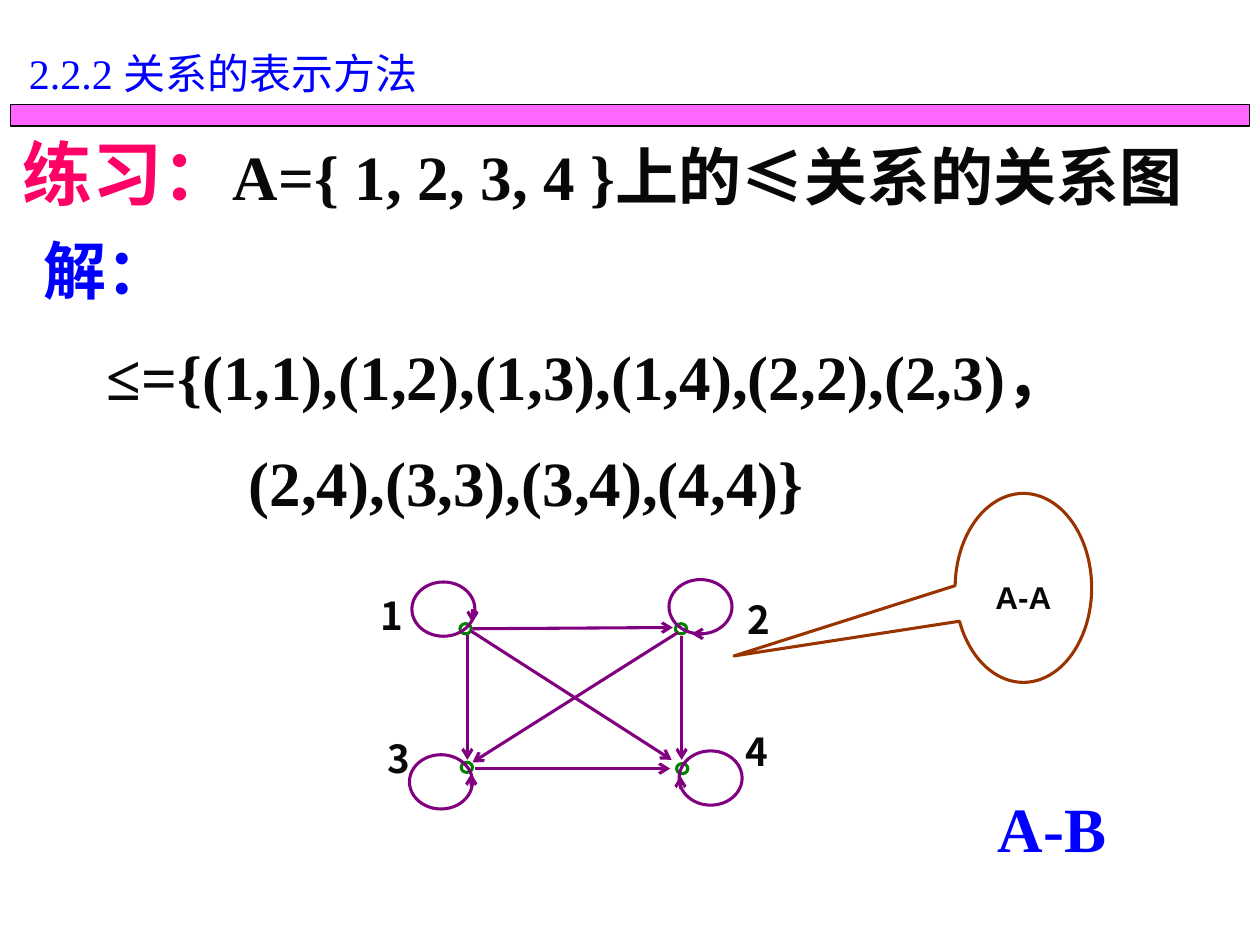
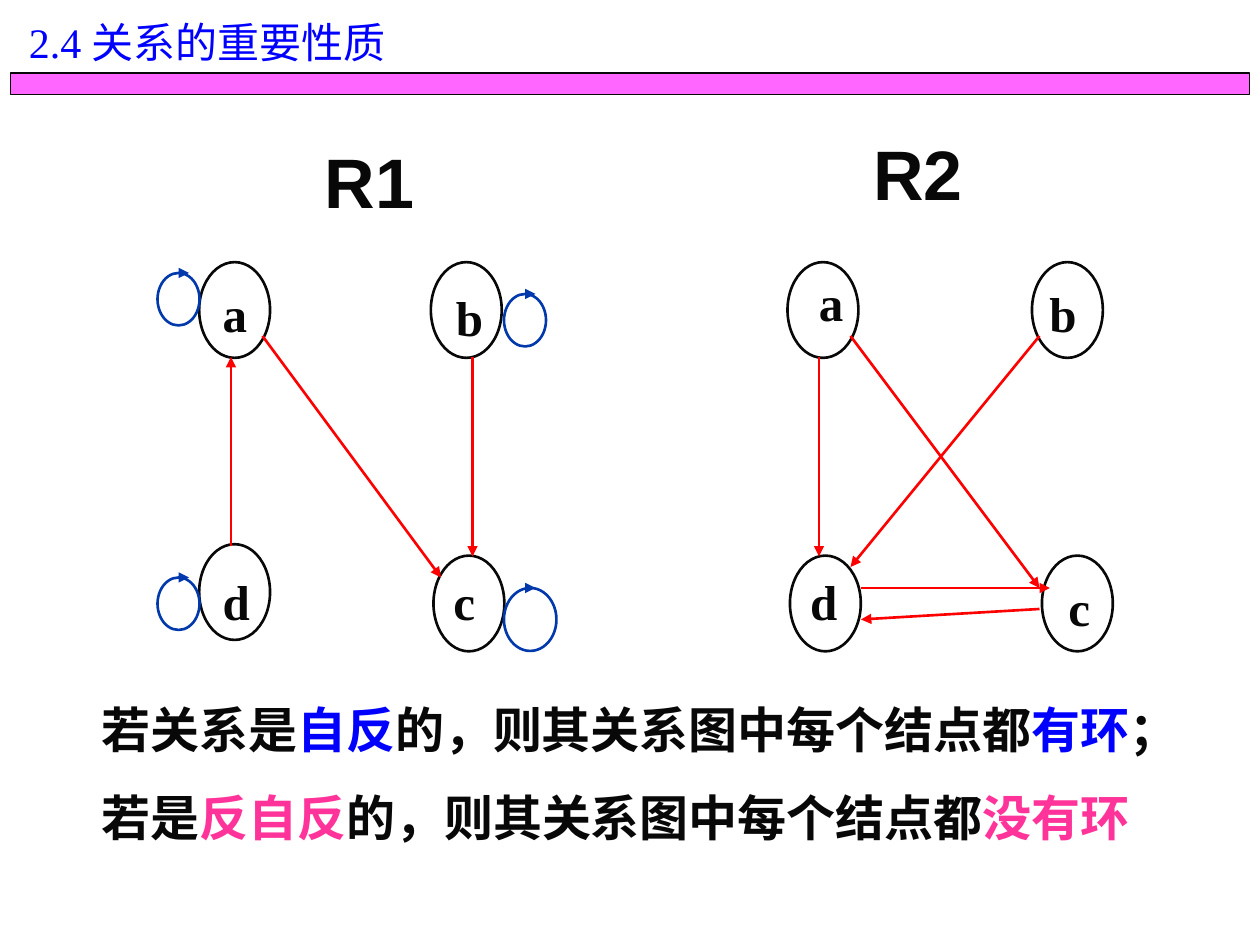
from lxml.etree import SubElement
from pptx import Presentation
from pptx.dml.color import RGBColor
from pptx.enum.shapes import MSO_CONNECTOR, MSO_SHAPE
from pptx.enum.text import MSO_ANCHOR, MSO_AUTO_SIZE, PP_ALIGN
from pptx.oxml.ns import qn
from pptx.util import Pt

HUES = {
    "ink": "080808", "blue": "0000FF", "rose": "FF0066", "pink": "FF3399",
    "band": "FF00FF", "green": "008000", "plum": "800080", "rust": "993300",
    "navy": "0039AC", "red": "FF0000",
}
ROMAN, SANS, HAN = "Times New Roman", "Arial", "Noto Sans CJK SC"


def tone(name):
    return RGBColor.from_string(HUES[name])


def dress(font, size=None, face=None, hue=None, bold=None):
    if size:
        font.size = Pt(size)
    if bold is not None:
        font.bold = bold
    if hue:
        font.color.rgb = tone(hue)
    if face:
        font.name = face
        latin = font._rPr.find(qn("a:latin"))
        east = SubElement(font._rPr, qn("a:ea"), typeface=HAN)
        latin.addnext(east)


def write(para, runs, space=None, left=0, **look):
    if space:
        para.line_spacing = space
    if left:
        props = para._p.get_or_add_pPr()
        props.set("marL", str(Pt(left)))
        props.set("indent", "0")
    dress(para.font, **look)
    for text, own in runs:
        run = para.add_run()
        run.text = text
        dress(run.font, **own)


def frame(slide, x, y, w, h, wrap=True):
    text = slide.shapes.add_textbox(Pt(x), Pt(y), Pt(w), Pt(h)).text_frame
    text.word_wrap = wrap
    text.auto_size = MSO_AUTO_SIZE.SHAPE_TO_FIT_TEXT
    return text


def label(slide, x, y, w, h, text, wrap=False, **look):
    para = frame(slide, x, y, w, h, wrap).paragraphs[0]
    write(para, [(text, {})], **look)


def draw(slide, kind, x, y, w, h, hue, width):
    shape = slide.shapes.add_shape(kind, Pt(x), Pt(y), Pt(w), Pt(h))
    shape.shadow.inherit = False
    shape.fill.background()
    shape.line.color.rgb = tone(hue)
    shape.line.width = Pt(width)
    return shape


def arrow(slide, x, y, ends, hue, width, head):
    ax, ay, bx, by = ends
    line = slide.shapes.add_connector(
        MSO_CONNECTOR.STRAIGHT, Pt(x + ax), Pt(y + ay), Pt(x + bx), Pt(y + by))
    line.line.color.rgb = tone(hue)
    line.line.width = Pt(width)
    SubElement(line.line._get_or_add_ln(), qn("a:tailEnd"), type=head)
    SubElement(line._element.spPr, qn("a:effectLst"))


def header(slide, top, code, title):
    bar = draw(slide, MSO_SHAPE.RECTANGLE, 6, top + 36, 708, 12.25, "ink", 0.75)
    bar.fill.solid()
    bar.fill.fore_color.rgb = tone("band")
    fill = bar._element.spPr.find(qn("a:solidFill"))
    SubElement(fill[0], qn("a:alpha"), val="60000")
    para = frame(slide, 9.4, top, 272, 36).paragraphs[0]
    write(para, [(code + " ", {"face": ROMAN}), (title, {"face": HAN})],
          size=24, hue="blue")


def task(slide, x, y):
    para = frame(slide, x, y, 696, 60).paragraphs[0]
    dark = {"size": 36, "hue": "ink"}
    write(para, [
        ("练习：", {"size": 40, "face": HAN, "hue": "rose"}),
        ("A={ 1, 2, 3, 4 }", {"face": ROMAN, **dark}),
        ("上的", {"face": HAN, **dark}),
        ("≤", {"face": ROMAN, **dark}),
        ("关系的关系图", {"face": HAN, **dark}),
    ], space=1.1, bold=True)
    text = frame(slide, x + 12, y + 45.4, 630, 188.6)
    rows = [
        ("解：", SANS, "blue", 0),
        ("≤={(1,1),(1,2),(1,3),(1,4),(2,2),(2,3)，", ROMAN, "ink", 36),
        ("(2,4),(3,3),(3,4),(4,4)}", ROMAN, "ink", 117),
    ]
    for i, (row, face, hue, left) in enumerate(rows):
        para = text.add_paragraph() if i else text.paragraphs[0]
        write(para, [(row, {})], space=1.4, left=left, size=36, face=face,
              hue=hue, bold=True)


def order(slide, x, y):
    parts = [
        ("1", (0.2, 3.8), (52.8, 25.4), (25.4, 1.6), (60, 16.8, 60, 24.7)),
        ("2", (209.8, 6), (175.9, 25.4), (172.3, 0.2), (193.9, 31.2, 185.3, 31.2)),
        ("3", (4.6, 85.2), (53.5, 104.6), (24, 100.3), (59.3, 118.3, 59.3, 111.1)),
        ("4", (209, 81.6), (176.6, 105.3), (178.1, 98.1), (178.8, 119.7, 178.8, 112.5)),
    ]
    edges = [
        (57.1, 31.9, 57.1, 103.2), (60, 28.3, 174.5, 27.6),
        (61.4, 108.2, 173, 108.2), (59.3, 29.7, 173.8, 103.2),
        (177.4, 30.4, 60, 104.6), (179.5, 32.6, 179.5, 103.2),
    ]
    for name, tag, dot, loop, tip in parts:
        draw(slide, MSO_SHAPE.OVAL, x + dot[0], y + dot[1], 6.5, 5.8, "green", 1.75)
        label(slide, x + tag[0], y + tag[1], 28, 34, name, wrap=True,
              size=22, face=HAN, hue="ink", bold=True)
        draw(slide, MSO_SHAPE.OVAL, x + loop[0], y + loop[1], 36, 31, "plum", 1.75)
        edges.append(tip)
    for ends in edges:
        arrow(slide, x, y, ends, "plum", 1.75, "arrow")


def notes(slide, x, y):
    bubble = draw(slide, MSO_SHAPE.OVAL_CALLOUT, x, y, 78, 108, "rust", 1.75)
    bubble.adjustments[0] = -2.12
    bubble.adjustments[1] = 0.36
    bubble.text_frame.vertical_anchor = MSO_ANCHOR.MIDDLE
    para = bubble.text_frame.paragraphs[0]
    para.alignment = PP_ALIGN.CENTER
    write(para, [("A-A", {})], space=1.5, size=18, face=SANS, hue="ink", bold=True)
    label(slide, x + 17.3, y + 144, 97, 72, "A-B", wrap=True, space=1.5,
          size=36, face=ROMAN, hue="blue", bold=True)


def graph(slide, x, y, title, spot, nodes, loops, edges):
    look = {"space": 1.5, "hue": "ink", "bold": True}
    label(slide, x + spot[0], y + spot[1], 65.5, 79, title,
          size=40, face=SANS, **look)
    wide = {"a": 28, "b": 29.5, "c": 26.6, "d": 29.5}
    for name, left, top, tx, ty in nodes:
        draw(slide, MSO_SHAPE.OVAL, x + left, y + top, 40.5, 54.7, "ink", 1.5)
        label(slide, x + tx, y + ty, wide[name], 57.6, name,
              size=28, face=ROMAN, **look)
    for left, top, w, h in loops:
        draw(slide, MSO_SHAPE.OVAL, x + left, y + top, w, h, "navy", 1.5)
        arrow(slide, x, y, (left + 12, top, left + 18, top), "navy", 1.5, "triangle")
    for ends in edges:
        arrow(slide, x, y, ends, "red", 1.5, "triangle")


def rules(slide, x, y):
    text = frame(slide, x, y, 669, 108)
    rest = "的，则其关系图中每个结点都"
    rows = [
        ("若关系是", HAN, "自反", "有环", "；", "blue"),
        ("若是", SANS, "反自反", "没有环", "", "pink"),
    ]
    for i, (lead, face, kind, ring, stop, hue) in enumerate(rows):
        para = text.add_paragraph() if i else text.paragraphs[0]
        pieces = [(lead, "ink"), (kind, hue), (rest, "ink"), (ring, hue), (stop, "ink")]
        write(para, [(part, {"hue": shade}) for part, shade in pieces if part],
              space=1.5, size=28, face=face, bold=True)


def main():
    deck = Presentation()
    deck.slide_width, deck.slide_height = Pt(720), Pt(540)
    blank = deck.slide_layouts[6]

    first = deck.slides.add_slide(blank)
    header(first, 23.8, "2.2.2", "关系的表示方法")
    task(first, 6, 66.2)
    order(first, 210, 331)
    notes(first, 545.8, 282)

    second = deck.slides.add_slide(blank)
    header(second, 5.8, "2.4", "关系的重要性质")
    graph(second, 90, 46, "R1", (88.6, 5.8), [
        ("a", 23.8, 103.8, 30.2, 95.8), ("b", 156.2, 103.8, 163.4, 98),
        ("d", 23.8, 265, 30.2, 260), ("c", 157.7, 271.5, 162, 260),
    ], [
        (0, 110, 24, 30), (198, 122, 24, 30),
        (0, 284, 24, 30), (198, 290, 30, 36),
    ], [(60, 146, 162, 284), (180, 158, 180, 272), (42, 266, 42, 158)])
    graph(second, 450, 46, "R2", (41.8, 0.8), [
        ("a", 0, 103.8, 10.8, 89.4), ("b", 139.7, 103.8, 142.6, 95.8),
        ("d", 1.4, 271.5, 5.8, 260), ("c", 145.4, 271.5, 153.4, 263.6),
    ], [], [
        (36, 146, 144, 290), (18, 158, 18, 272), (144, 146, 36, 278),
        (144, 302, 42, 308), (42, 290, 150, 290),
    ])
    rules(second, 51, 379.4)
    deck.save("out.pptx")


if __name__ == "__main__":
    main()
